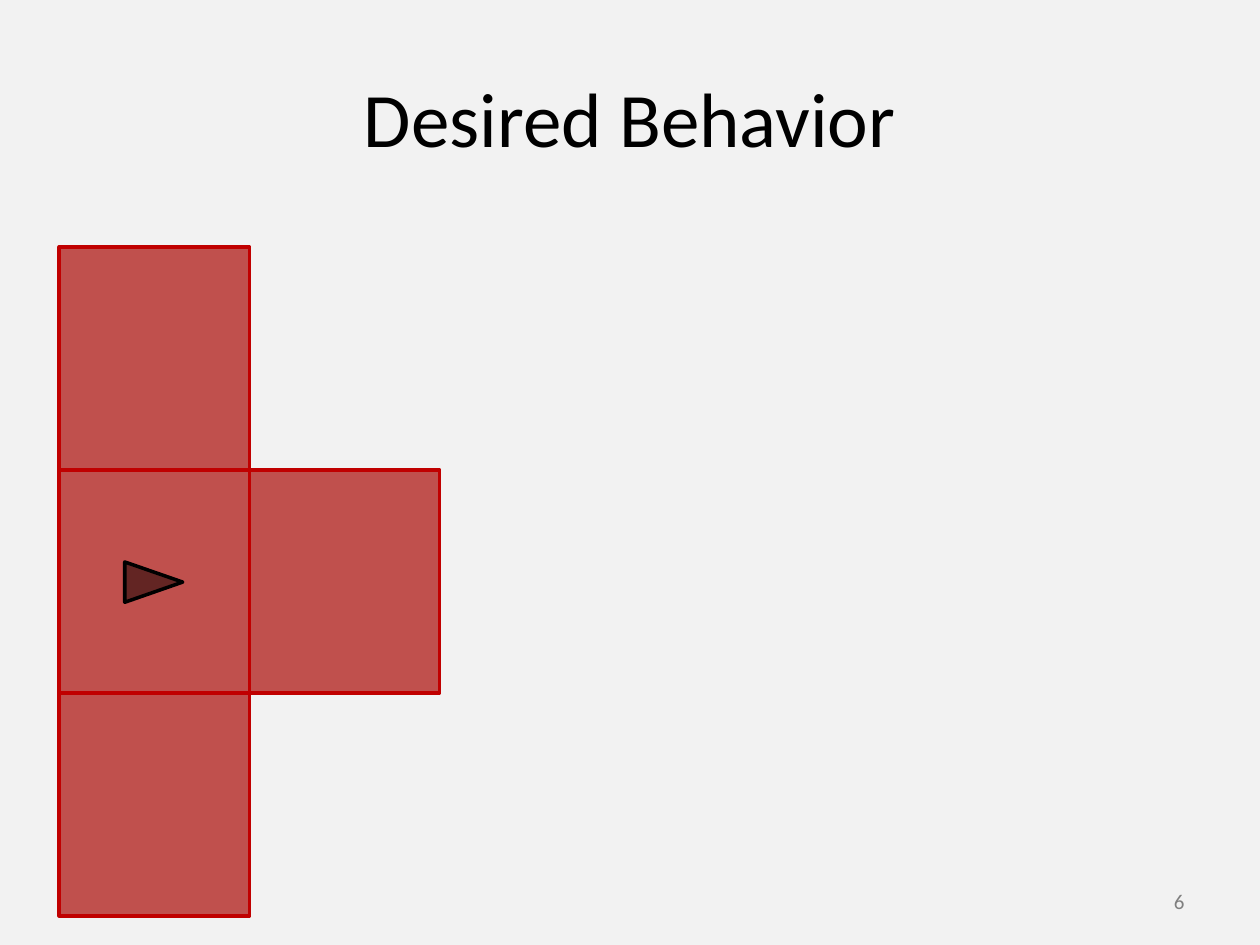
from pptx import Presentation
from pptx.dml.color import RGBColor
from pptx.enum.shapes import MSO_SHAPE
from pptx.enum.text import MSO_ANCHOR, PP_ALIGN
from pptx.util import Inches, Pt

RECTANGLE = MSO_SHAPE.RECTANGLE
TRIANGLE = MSO_SHAPE.ISOSCELES_TRIANGLE
MIDDLE = MSO_ANCHOR.MIDDLE
CENTER = PP_ALIGN.CENTER
RIGHT = PP_ALIGN.RIGHT

BACKGROUND = RGBColor(0xF2, 0xF2, 0xF2)
BLACK = RGBColor(0x00, 0x00, 0x00)
GRAY = RGBColor(0x80, 0x80, 0x80)
CELL_FILL = RGBColor(0xC0, 0x50, 0x4D)
CELL_LINE = RGBColor(0xC0, 0x00, 0x00)
MARKER_FILL = RGBColor(0x63, 0x25, 0x23)

FONT = "Calibri"
GRID_LEFT, GRID_TOP = 0.47, 1.96
CELL_WIDTH, CELL_HEIGHT = 1.51, 1.77
# (column, row), from back to front; the marker stands in the first cell
START_CELL = (0, 1)
NEIGHBOR_CELLS = [(0, 0), (1, 1), (0, 2)]


def add_text(page, text, left, top, width, height, *, size, color, align):
    box = page.shapes.add_textbox(
        Inches(left), Inches(top), Inches(width), Inches(height))
    frame = box.text_frame
    frame.word_wrap = True
    frame.vertical_anchor = MIDDLE
    para = frame.paragraphs[0]
    para.alignment = align
    span = para.add_run()
    span.text = text
    span.font.name = FONT
    span.font.size = Pt(size)
    span.font.color.rgb = color


def add_outlined_shape(page, kind, left, top, width, height, fill, line):
    shape = page.shapes.add_shape(
        kind, Inches(left), Inches(top), Inches(width), Inches(height))
    shape.shadow.inherit = False
    shape.fill.solid()
    shape.fill.fore_color.rgb = fill
    shape.line.color.rgb = line
    shape.line.width = Pt(2)
    return shape


def add_cell(page, column, row):
    add_outlined_shape(
        page, RECTANGLE,
        GRID_LEFT + column * CELL_WIDTH, GRID_TOP + row * CELL_HEIGHT,
        CELL_WIDTH, CELL_HEIGHT, CELL_FILL, CELL_LINE)


def add_marker(page):
    """Add the triangle that points right from the start cell."""
    marker = add_outlined_shape(
        page, TRIANGLE, 1.06, 4.39, 0.32, 0.46, MARKER_FILL, BLACK)
    marker.rotation = 90


def main():
    deck = Presentation()
    deck.slide_width = Inches(10)
    deck.slide_height = Inches(7.5)
    page = deck.slides.add_slide(deck.slide_layouts[6])
    page.background.fill.solid()
    page.background.fill.fore_color.rgb = BACKGROUND

    add_text(page, "Desired Behavior", 0.5, 0.3, 9, 1.25,
             size=44, color=BLACK, align=CENTER)
    add_text(page, "6", 7.17, 6.95, 2.33, 0.4,
             size=12, color=GRAY, align=RIGHT)
    add_cell(page, *START_CELL)
    add_marker(page)
    for column, row in NEIGHBOR_CELLS:
        add_cell(page, column, row)

    deck.save("out.pptx")


if __name__ == "__main__":
    main()
